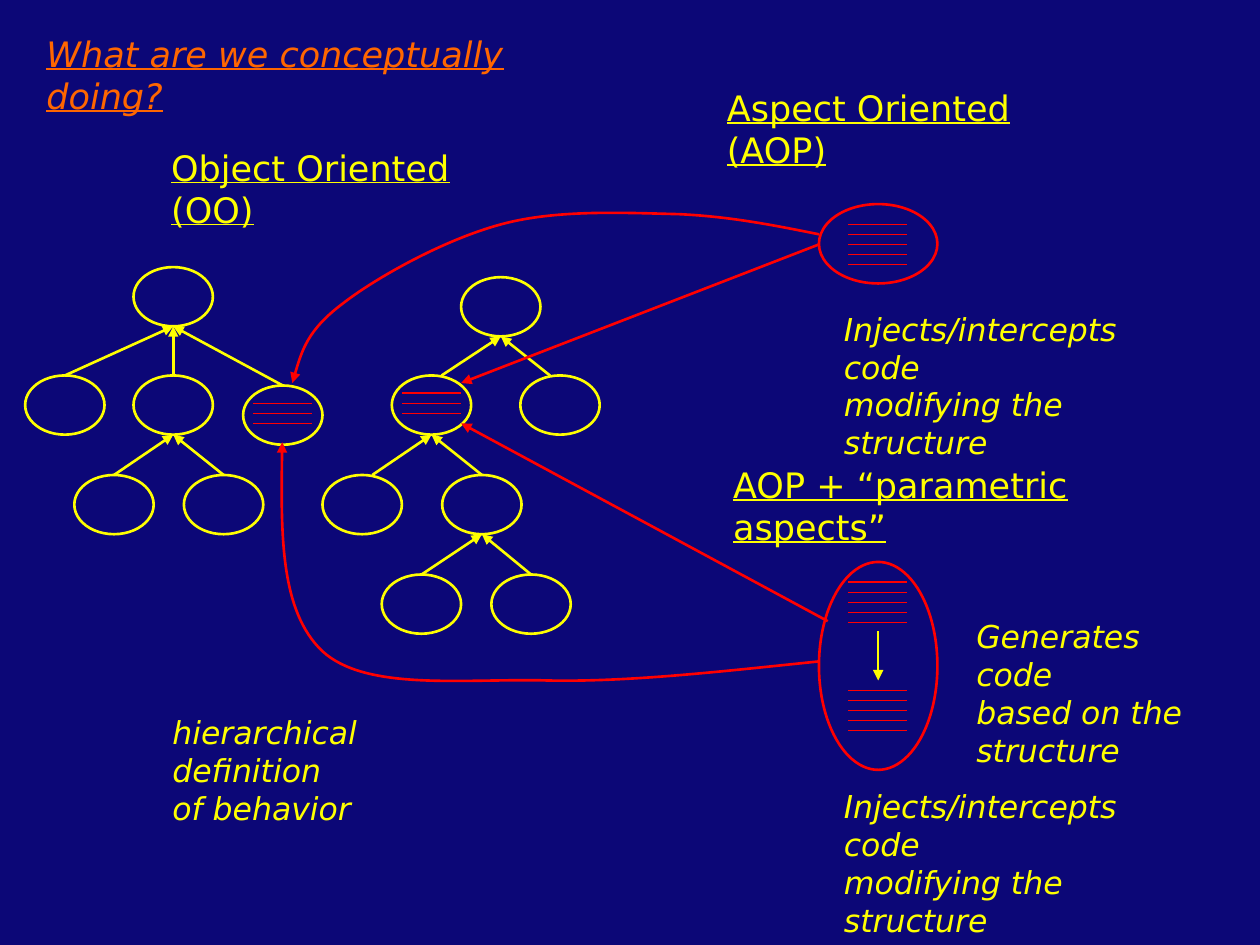
from dataclasses import dataclass

from lxml import etree
from pptx import Presentation
from pptx.dml.color import RGBColor
from pptx.enum.shapes import MSO_CONNECTOR, MSO_SHAPE
from pptx.enum.text import MSO_AUTO_SIZE
from pptx.oxml.ns import qn
from pptx.util import Inches, Pt

COLORS = {"background": "0C0777", "title": "FF6600", "object": "FFFF00", "aspect": "FF0000"}
FONT = "DejaVu Sans"
NODE_WIDTH, NODE_HEIGHT = 0.63, 0.47
CODE_WIDTH, CODE_GAP = 0.47, 0.08

Point = tuple[float, float]


@dataclass
class Node:
    left: float
    top: float
    parent: int | None = None  # index in the same tree
    foot_shift: float = 0  # sideways move of the arrow's start


@dataclass
class Label:
    left: float
    top: float
    width: float
    height: float
    lines: tuple[str, ...]
    size: int = 18
    color: str = "object"
    italic: bool = True
    underline: bool = False


@dataclass
class Code:
    left: float
    top: float
    count: int = 5


OBJECT_TREES = (
    (
        Node(1.06, 2.12),
        Node(0.2, 2.98, 0),
        Node(1.06, 2.98, 0),
        Node(1.93, 3.06, 0),
        Node(0.59, 3.77, 2),
        Node(1.46, 3.77, 2),
    ),
    (
        Node(3.66, 2.2),
        Node(3.11, 2.98, 0, 0.08),
        Node(4.13, 2.98, 0, -0.08),
        Node(2.56, 3.77, 1, 0.08),
        Node(3.51, 3.77, 1),
        Node(3.03, 4.56, 4),
        Node(3.9, 4.56, 4),
    ),
)

ASPECT_OVALS = ((6.5, 1.62, 0.94, 0.63), (6.5, 4.46, 0.94, 1.65))

CODE_BLOCKS = (
    Code(3.19, 3.12, 3),
    Code(2.01, 3.2, 3),
    Code(6.73, 1.78),
    Code(6.73, 4.62),
    Code(6.73, 5.48),
)

STRAIGHT_ARROWS = (
    ((6.5, 1.94), (3.66, 3.04), "aspect"),
    ((6.57, 4.93), (3.66, 3.36), "aspect"),
    ((6.97, 5.01), (6.97, 5.4), "object"),
)

# Start point, then two control points and an end point per segment
CURVED_ARROWS = (
    (
        (6.5, 1.86),
        (6.15, 1.79), (5.81, 1.72), (5.39, 1.7),
        (4.97, 1.69), (4.42, 1.66), (3.98, 1.78),
        (3.53, 1.9), (2.99, 2.2), (2.72, 2.41),
        (2.44, 2.62), (2.38, 2.83), (2.32, 3.04),
    ),
    (
        (6.5, 5.25),
        (5.72, 5.33), (4.95, 5.42), (4.29, 5.4),
        (3.64, 5.39), (2.9, 5.48), (2.56, 5.17),
        (2.22, 4.85), (2.23, 4.18), (2.24, 3.51),
    ),
)

INJECTS = ("Injects/intercepts code", "modifying the structure")
HEADING = {"size": 20, "italic": False, "underline": True}
LABELS = (
    Label(0.27, 0.21, 4.27, 0.44, ("What are we conceptually doing?",), 20, "title", True, True),
    Label(1.26, 1.11, 2.96, 0.44, ("Object Oriented (OO)",), **HEADING),
    Label(5.67, 0.64, 3.11, 0.44, ("Aspect Oriented (AOP)",), **HEADING),
    Label(5.72, 3.63, 3.76, 0.44, ("AOP + “parametric aspects”",), **HEADING),
    Label(1.27, 5.61, 2.64, 0.7, ("hierarchical definition", "of behavior")),
    Label(6.6, 2.41, 2.8, 0.7, INJECTS),
    Label(6.6, 6.2, 2.8, 0.7, INJECTS),
    Label(7.65, 4.85, 1.91, 1, ("Generates code", "based on the", "structure")),
)


def rgb(name: str) -> RGBColor:
    return RGBColor.from_string(COLORS[name])


def style_line(shape, color: str, width: float = 1.5, arrow: bool = False) -> None:
    shape.line.color.rgb = rgb(color)
    shape.line.width = Pt(width)
    if arrow:
        etree.SubElement(shape.line._get_or_add_ln(), qn("a:tailEnd"), type="triangle")


def add_line(slide, start: Point, end: Point, color: str, width: float = 1.5,
             arrow: bool = False) -> None:
    ends = [Inches(value) for value in (*start, *end)]
    connector = slide.shapes.add_connector(MSO_CONNECTOR.STRAIGHT, *ends)
    style_line(connector, color, width, arrow)
    etree.SubElement(connector._element.spPr, qn("a:effectLst"))


def add_oval(slide, left: float, top: float, width: float, height: float, color: str) -> None:
    box = [Inches(value) for value in (left, top, width, height)]
    shape = slide.shapes.add_shape(MSO_SHAPE.OVAL, *box)
    shape.shadow.inherit = False
    shape.fill.background()
    style_line(shape, color)


def add_curved_arrow(slide, points: tuple[Point, ...], color: str) -> None:
    """Build a polygon line, then turn each three segments into one Bezier curve."""
    start, *others = [(Inches(x), Inches(y)) for x, y in points]
    builder = slide.shapes.build_freeform(*start)
    builder.add_line_segments(others, close=False)
    shape = builder.convert_to_shape()
    shape.shadow.inherit = False
    shape.fill.background()
    style_line(shape, color, arrow=True)
    segments = list(shape._element.iter(qn("a:lnTo")))
    for index in range(0, len(segments), 3):
        curve = etree.Element(qn("a:cubicBezTo"))
        segments[index].addprevious(curve)
        for segment in segments[index:index + 3]:
            curve.append(segment[0])
            segment.getparent().remove(segment)


def add_tree(slide, nodes: tuple[Node, ...]) -> None:
    for node in nodes:
        add_oval(slide, node.left, node.top, NODE_WIDTH, NODE_HEIGHT, "object")
    for node in nodes:
        if node.parent is not None:
            parent = nodes[node.parent]
            foot = (node.left + NODE_WIDTH / 2 + node.foot_shift, node.top)
            head = (parent.left + NODE_WIDTH / 2, parent.top + NODE_HEIGHT)
            add_line(slide, foot, head, "object", arrow=True)


def add_code(slide, code: Code) -> None:
    for row in range(code.count):
        y = code.top + row * CODE_GAP
        add_line(slide, (code.left, y), (code.left + CODE_WIDTH, y), "aspect", 0.75)


def add_label(slide, label: Label) -> None:
    box = [Inches(value) for value in (label.left, label.top, label.width, label.height)]
    frame = slide.shapes.add_textbox(*box).text_frame
    frame.word_wrap = True
    frame.auto_size = MSO_AUTO_SIZE.SHAPE_TO_FIT_TEXT
    for index, line in enumerate(label.lines):
        paragraph = frame.add_paragraph() if index else frame.paragraphs[0]
        run = paragraph.add_run()
        run.text = line
        run.font.name = FONT
        run.font.size = Pt(label.size)
        run.font.color.rgb = rgb(label.color)
        run.font.italic = label.italic
        run.font.underline = label.underline


def main() -> None:
    presentation = Presentation()
    presentation.slide_width, presentation.slide_height = Inches(10), Inches(7.5)
    slide = presentation.slides.add_slide(presentation.slide_layouts[6])
    slide.background.fill.solid()
    slide.background.fill.fore_color.rgb = rgb("background")
    for tree in OBJECT_TREES:
        add_tree(slide, tree)
    for oval in ASPECT_OVALS:
        add_oval(slide, *oval, "aspect")
    for code in CODE_BLOCKS:
        add_code(slide, code)
    for start, end, color in STRAIGHT_ARROWS:
        add_line(slide, start, end, color, arrow=True)
    for points in CURVED_ARROWS:
        add_curved_arrow(slide, points, "aspect")
    for label in LABELS:
        add_label(slide, label)
    presentation.save("out.pptx")


if __name__ == "__main__":
    main()
